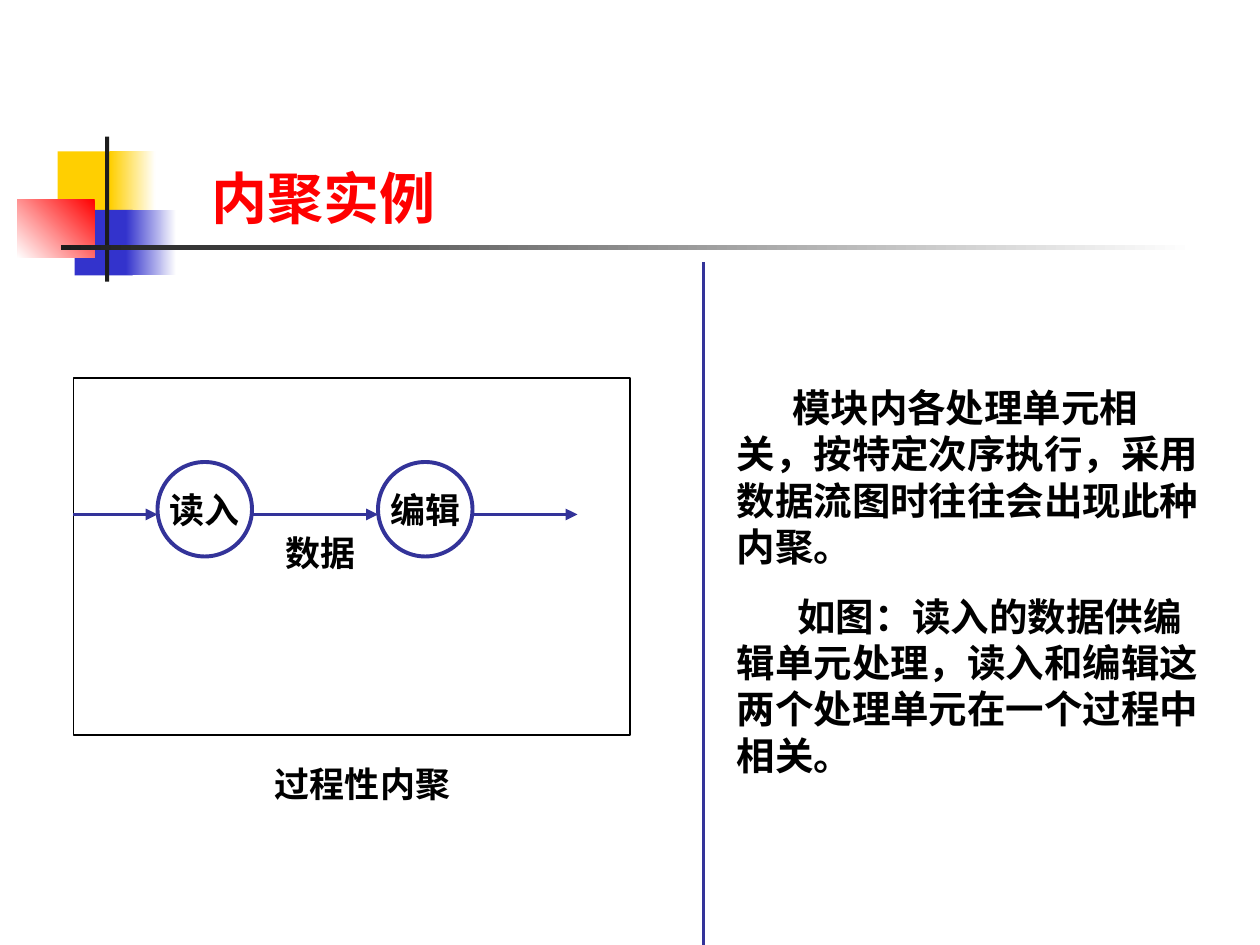
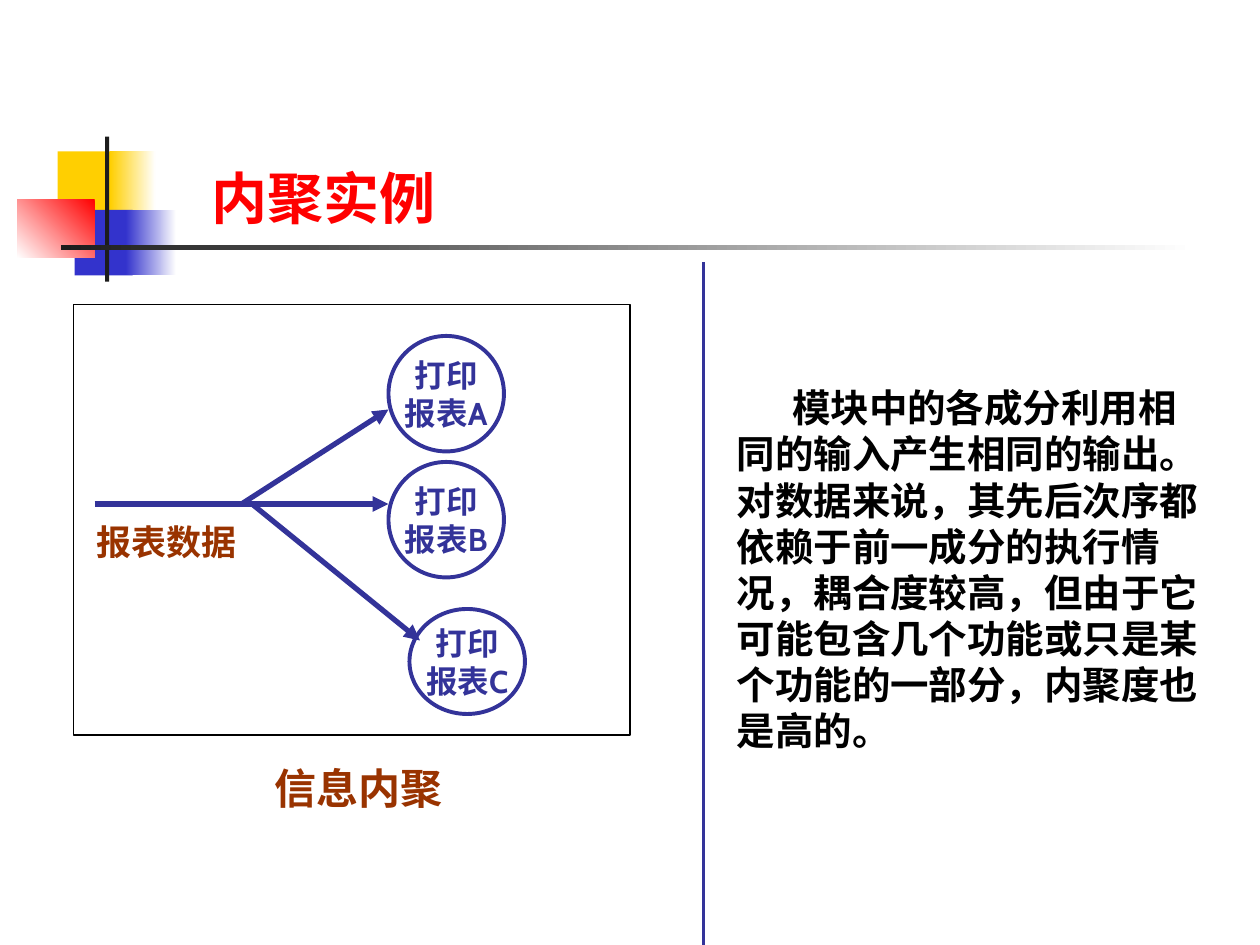
from pptx import Presentation
from pptx.dml.color import RGBColor
from pptx.enum.shapes import MSO_CONNECTOR as Connector, MSO_SHAPE as Shape
from pptx.enum.text import MSO_ANCHOR as Anchor, MSO_AUTO_SIZE as AutoSize, PP_ALIGN as Align
from pptx.oxml.ns import qn
from pptx.util import Inches, Pt
from lxml.etree import SubElement

# Grid of 120 columns by 90 rows, twelve to the inch
UNITS_PER_INCH = 12

FONT = "Cabin"
BLACK, WHITE, INK = "000000", "FFFFFF", "1C1C1C"
RED, YELLOW, BLUE = "FF0000", "FFCF01", "3333CC"
NAVY, BROWN = "333399", "993300"


def color(hex_code):
    return RGBColor.from_string(hex_code)


def grid(*units):
    return [Inches(unit / UNITS_PER_INCH) for unit in units]


def write(frame, paragraphs, size=20, ink=BLACK, align=Align.LEFT, before=0, indents=()):
    """Fill a text frame; indents are first-line indents in inches."""
    for index, words in enumerate(paragraphs):
        paragraph = frame.paragraphs[0] if index == 0 else frame.add_paragraph()
        paragraph.alignment = align
        if index and before:
            paragraph.space_before = Pt(before)
        # Keep punctuation inside the margin
        paragraph_format = paragraph._p.get_or_add_pPr()
        paragraph_format.set("hangingPunct", "0")
        if indents:
            paragraph_format.set("marL", "0")
            paragraph_format.set("indent", str(Inches(indents[index])))
        run = paragraph.add_run()
        run.text = words
        run.font.name, run.font.size, run.font.bold = FONT, Pt(size), True
        run.font.color.rgb = color(ink)
        SubElement(run._r.get_or_add_rPr(), qn("a:ea"), typeface=FONT)


class CohesionDeck:
    def __init__(self):
        self.deck = Presentation()
        self.deck.slide_width, self.deck.slide_height = grid(120, 90)
        self.slide = None

    def shape(self, kind, box, fill=None, line=None, width=0.75):
        item = self.slide.shapes.add_shape(kind, *grid(*box))
        item.shadow.inherit = False
        if fill:
            item.fill.solid()
            item.fill.fore_color.rgb = color(fill)
        else:
            item.fill.background()
        if line:
            item.line.color.rgb = color(line)
            item.line.width = Pt(width)
        else:
            item.line.fill.background()
        return item

    def fade(self, box, start, angle=0):
        """A rectangle that fades from a colour to white."""
        fill = self.shape(Shape.RECTANGLE, box).fill
        fill.gradient()
        fill.gradient_angle = angle
        for stop, shade in zip(fill.gradient_stops, (start, WHITE)):
            stop.color.rgb = color(shade)

    def text(self, box, *paragraphs, wrap=True, **style):
        frame = self.slide.shapes.add_textbox(*grid(*box)).text_frame
        frame.word_wrap = wrap
        frame.auto_size = AutoSize.SHAPE_TO_FIT_TEXT
        write(frame, paragraphs, **style)

    def line(self, start, end, width=2.25, arrow=True):
        item = self.slide.shapes.add_connector(Connector.STRAIGHT, *grid(*start, *end))
        item.line.color.rgb = color(NAVY)
        item.line.width = Pt(width)
        if arrow:
            SubElement(item.line._get_or_add_ln(), qn("a:tailEnd"), type="triangle")
        SubElement(item._element.spPr, qn("a:effectLst"))

    def node(self, box, *lines, **style):
        frame = self.shape(Shape.OVAL, box, line=NAVY, width=2.25).text_frame
        frame.word_wrap = False
        frame.vertical_anchor = Anchor.MIDDLE
        write(frame, lines, align=Align.CENTER, **style)

    def frame(self, top):
        """The diagram frame, which always ends on row 70."""
        self.shape(Shape.RECTANGLE, (7, top, 53, 70 - top), line=BLACK)

    def caption(self, words, **style):
        self.text((25, 72, 24, 5.28), words, **style)

    def start_slide(self, title, explanation, indents):
        self.slide = self.deck.slides.add_slide(self.deck.slide_layouts[6])
        # Coloured blocks and crossing bars
        self.shape(Shape.RECTANGLE, (5.5, 14.42, 5.76, 6.24), YELLOW)
        self.fade((10.5, 14.42, 4.32, 6.24), YELLOW)
        self.shape(Shape.RECTANGLE, (7.12, 19.98, 5.52, 6.24), BLUE)
        self.fade((12, 19.98, 4.8, 6.24), BLUE)
        self.fade((1.65, 18.98, 7.38, 5.58), RED, angle=225)
        self.shape(Shape.RECTANGLE, (10, 13.02, 0.4, 13.8), INK)
        self.fade((5.8, 23.35, 108, 0.42), INK)
        # Title, explanation and divider
        self.text((19, 15, 90, 7.68), title, size=32, ink=RED)
        self.text((69, 36, 47, 34.3), *explanation, size=22, before=13.8, indents=indents)
        self.line((67, 25), (67, 90), arrow=False)


def procedural_cohesion(deck):
    deck.start_slide("内聚实例", [
        "模块内各处理单元相关，按特定次序执行，采用数据流图时往往会出现此种内聚。",
        "如图：读入的数据供编辑单元处理，读入和编辑这两个处理单元在一个过程中相关。",
    ], indents=(0.44, 0.48))
    deck.frame(top=36)
    for left, step in ((15, "读入"), (36, "编辑")):
        deck.node((left, 44, 9, 9), step)
    for start, end in ((24, 36), (45, 55), (7, 15)):
        deck.line((start, 49), (end, 49))
    deck.text((26, 50, 11, 5.28), "数据")
    deck.caption("过程性内聚")


def informational_cohesion(deck):
    deck.start_slide("内聚实例", [
        "模块中的各成分利用相同的输入产生相同的输出。对数据来说，其先后次序都依赖于前一成分的执行情况，"
        "耦合度较高，但由于它可能包含几个功能或只是某个功能的一部分，内聚度也是高的。",
    ], indents=(0.44,))
    deck.frame(top=29)
    # Report printers and the arrows that feed them
    reports = {"A": (37, 32, 11, 11), "B": (37, 44, 11, 11), "C": (39, 58, 11, 10)}
    for letter, box in reports.items():
        deck.node(box, "打印", "报表" + letter, size=18, ink=NAVY)
    for start, end in ((9, (37, 48)), (23, (37, 39)), (24, (40, 61))):
        deck.line((start, 48), end, width=3)
    deck.text((8, 49, 15.72, 5.28), "报表数据", wrap=False, ink=BROWN)
    deck.caption("信息内聚", size=24, ink=BROWN)


def main():
    deck = CohesionDeck()
    procedural_cohesion(deck)
    informational_cohesion(deck)
    deck.deck.save("out.pptx")


if __name__ == "__main__":
    main()
